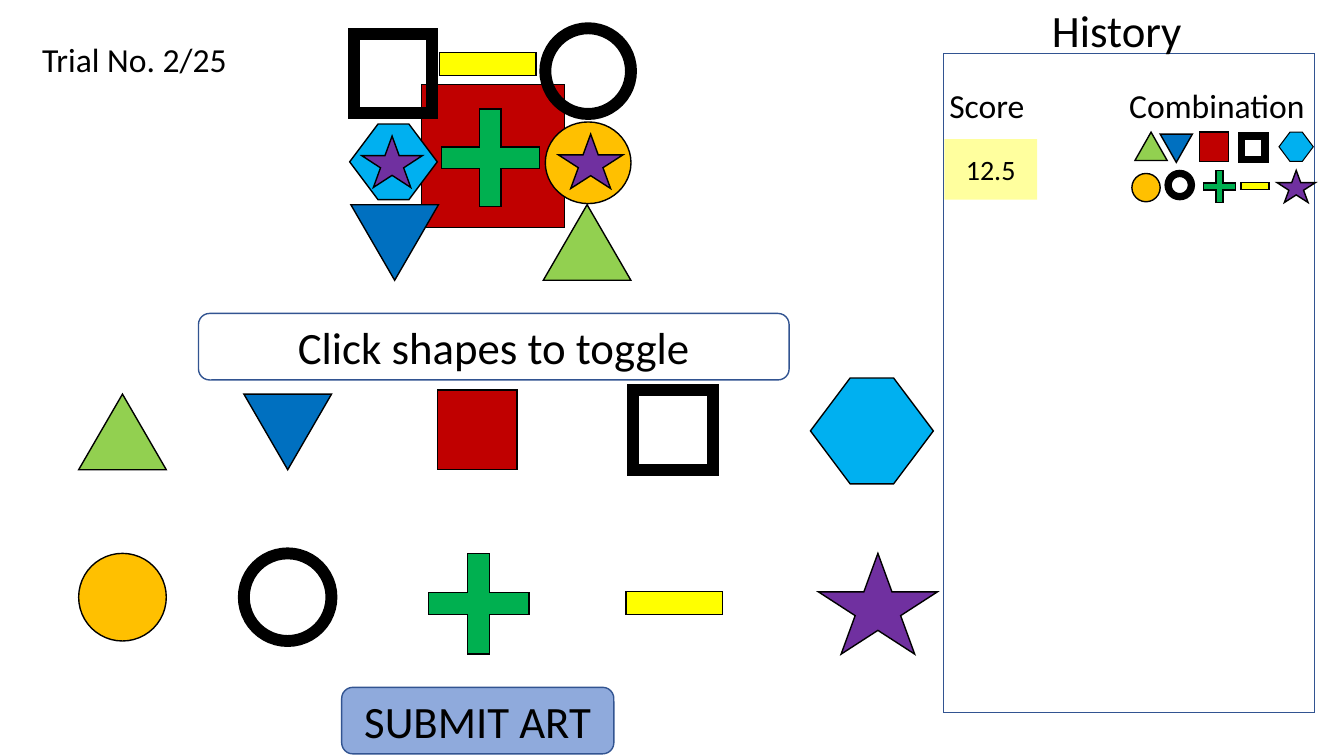
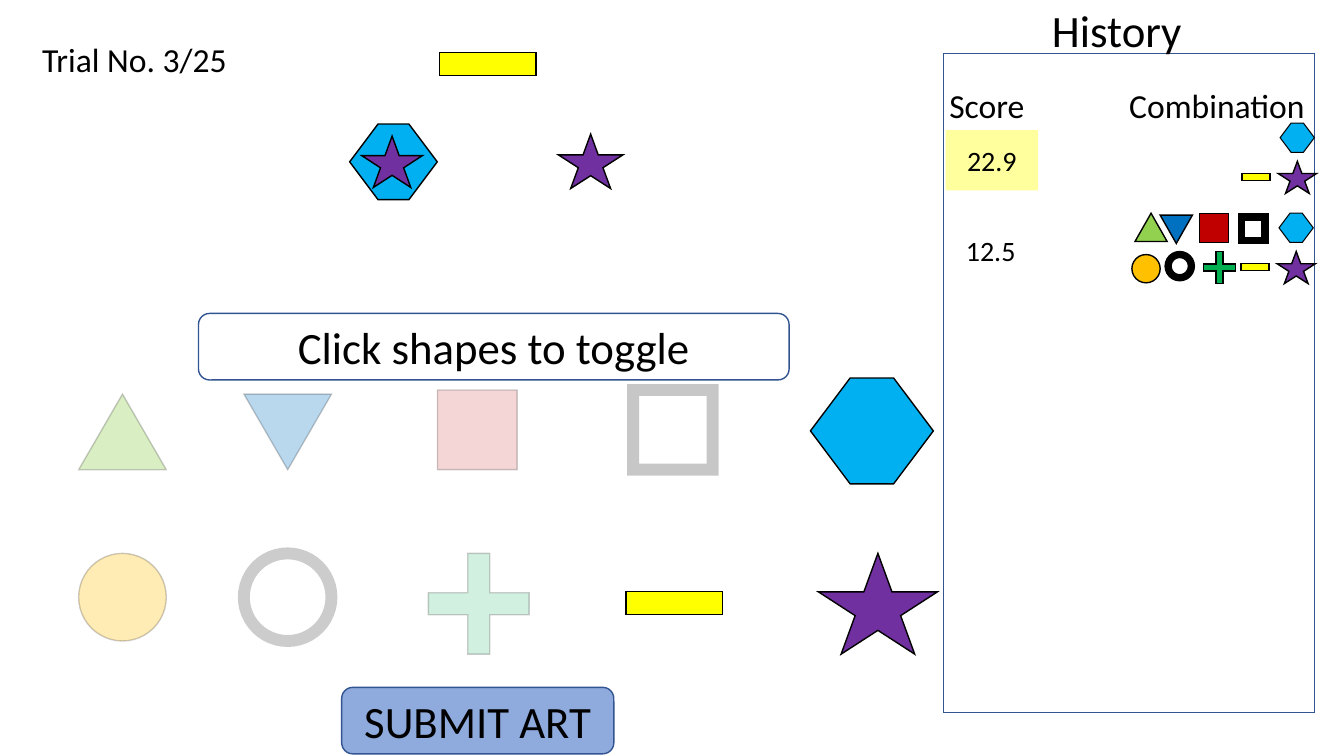
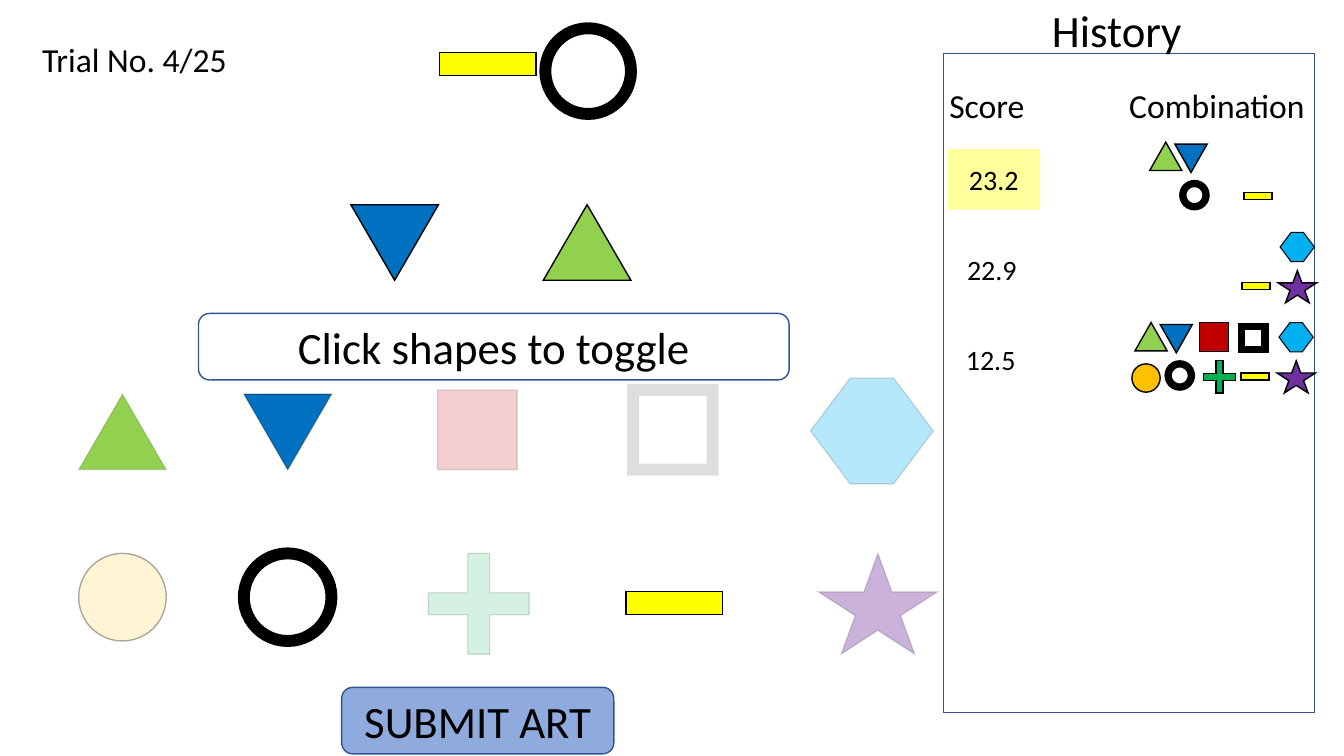
"""Build three trial screens of a shape-toggling task with a score history."""
from lxml import etree
from pptx import Presentation
from pptx.dml.color import RGBColor
from pptx.enum.shapes import MSO_SHAPE
from pptx.enum.text import MSO_ANCHOR, MSO_AUTO_SIZE, PP_ALIGN
from pptx.oxml.ns import qn
from pptx.util import Pt

RECT, ROUNDED, OVAL = MSO_SHAPE.RECTANGLE, MSO_SHAPE.ROUNDED_RECTANGLE, MSO_SHAPE.OVAL
TRIANGLE, CROSS = MSO_SHAPE.ISOSCELES_TRIANGLE, MSO_SHAPE.CROSS
HEXAGON, STAR = MSO_SHAPE.HEXAGON, MSO_SHAPE.STAR_5_POINT
LEFT, CENTER, RIGHT = PP_ALIGN.LEFT, PP_ALIGN.CENTER, PP_ALIGN.RIGHT
TOP, MIDDLE = MSO_ANCHOR.TOP, MSO_ANCHOR.MIDDLE
FIT = MSO_AUTO_SIZE.SHAPE_TO_FIT_TEXT

FONT = "Calibri"
BLACK, NAVY, WHITE, BLUE, YELLOW = "000000", "325491", "FFFFFF", "8FAADC", "FFFF00"
THIN, PALETTE_THICK, HISTORY_THICK = 1, 8.5, 5.25

PIECES = {
    "square": (RECT, "C00000", 0, ()),
    "up": (TRIANGLE, "92D050", 0, ()),
    "down": (TRIANGLE, "0070C0", 180, ()),
    "frame": (RECT, None, 0, ()),
    "hexagon": (HEXAGON, "00B0F0", 0, (0.375, 1.155)),
    "disc": (OVAL, "FFC000", 0, ()),
    "ring": (OVAL, None, 0, ()),
    "plus": (CROSS, "00B050", 0, (0.391,)),
    "bar": (RECT, YELLOW, 0, ()),
    "star": (STAR, "7030A0", 0, ()),
}
PALETTE = {
    "up": (56.2, 281.5, 62.6, 54), "down": (174.2, 281.5, 62.6, 54),
    "square": (312.5, 278.6, 56.9, 56.9), "frame": (452.2, 278.6, 56.9, 56.9),
    "hexagon": (578.9, 270, 87.8, 75.6), "disc": (56.2, 395.3, 62.6, 62.6),
    "ring": (174.2, 395.3, 62.6, 62.6), "plus": (306, 395.3, 72, 72),
    "bar": (447.1, 422.6, 69.1, 16.6), "star": (584.6, 395.3, 85, 72),
}
ARTWORK = [
    ("square", (301, 60.5, 102.2, 102.2)), ("up", (388.1, 146.2, 62.6, 54)),
    ("down", (250.6, 146.2, 62.6, 54)), ("frame", (252.7, 24.5, 56.2, 56.2)),
    ("hexagon", (249.8, 88.6, 62.6, 54)), ("disc", (389.5, 87.1, 61.2, 58.3)),
    ("ring", (389.5, 20.2, 61.2, 61.2)), ("plus", (315.4, 77.8, 69.8, 69.8)),
    ("bar", (313.9, 37.4, 69.1, 16.6)), ("star", (398.9, 95.8, 46.1, 38.9)),
    ("star", (258.5, 97.2, 43.2, 36.7)),
]
HISTORY_OFFSETS = {
    "up": (136.1, -5, 23, 20.2), "down": (154.1, -3.6, 23, 20.2),
    "square": (182.2, -5, 20.9, 20.9), "frame": (212.4, -2.2, 16.6, 16.6),
    "hexagon": (239, -5, 24.5, 20.9), "disc": (133.9, 24.5, 20.2, 20.2),
    "ring": (159.8, 24.5, 16.6, 16.6), "plus": (185, 22.3, 23, 23),
    "bar": (211.7, 31, 20.2, 5), "star": (237.6, 22.3, 27.4, 23),
}
HISTORY_STEP = 64.4
SCORE_SIZE = (66.2, 43.2)

ENTRIES = {
    "12.5": (674.6, dict.fromkeys(PIECES, 0)),
    "22.9": (675.4, {"hexagon": 0, "bar": 0, "star": 0}),
    "23.2": (676.8, {"up": 8.3, "down": 8.3, "ring": 8.3, "bar": 0}),
}
TRIALS = [
    ("Trial No. 2/25", 99.4, ["12.5"], {}),
    ("Trial No. 3/25", 92.9, ["22.9", "12.5"], {
        "up": (34, 20), "down": (27, 20), "square": (16, 20), "frame": (100, 22),
        "disc": (29, 20), "ring": (100, 20), "plus": (18, 20)}),
    ("Trial No. 4/25", 106.6, ["23.2", "22.9", "12.5"], {
        "up": (100, 11), "down": (100, 26), "square": (19, 13), "frame": (100, 13),
        "disc": (17, 32), "plus": (17, 13), "star": (37, 13), "hexagon": (29, 13)}),
]
LABELS = [
    ("History", (699.1, -1.4, 197.3, 46), 32, CENTER),
    ("Score", (671, 56.9, 82.8, 36), 24, LEFT),
    ("Combination", (797.8, 56.9, 141.1, 36), 24, RIGHT),
]
TRIAL_BOX = (23, 24.5, 187.9, 36)
PANEL_BOX = (673.9, 38.2, 265, 470.9)
BUTTONS = [
    ("SUBMIT ART", (244.1, 491, 194.4, 47.5), BLUE),
    ("Click shapes to toggle", (141.8, 223.9, 421.9, 47.5), WHITE),
]


def rgb(color):
    return RGBColor.from_string(color)


def set_alpha(parent, percent):
    if percent < 100:
        color = parent.find(qn("a:solidFill"))[0]
        etree.SubElement(color, qn("a:alpha"), val=str(percent * 1000))


def add_shape(s, preset, box, fill=None, line=None, width=THIN, alphas=(100, 100)):
    sp = s.shapes.add_shape(preset, *map(Pt, box))
    sp.shadow.inherit = False
    if fill:
        sp.fill.solid()
        sp.fill.fore_color.rgb = rgb(fill)
        set_alpha(sp.element.spPr, alphas[0])
    else:
        sp.fill.background()
    if line:
        sp.line.color.rgb = rgb(line)
        sp.line.width = Pt(width)
        ln = sp.element.spPr.find(qn("a:ln"))
        set_alpha(ln, alphas[1])
        etree.SubElement(ln, qn("a:miter"), lim="800000")
    else:
        sp.line.fill.background()
    return sp


def add_piece(s, name, box, thick, alphas=(100, 100), thin=THIN):
    preset, fill, rotation, adjustments = PIECES[name]
    sp = add_shape(s, preset, box, fill, BLACK, thin if fill else thick, alphas)
    sp.rotation = rotation
    for i, value in enumerate(adjustments):
        sp.adjustments[i] = value


def write(sp, text, size, align=CENTER, anchor=MIDDLE):
    tf = sp.text_frame
    tf.word_wrap = True
    tf.vertical_anchor = anchor
    tf.text = text
    p = tf.paragraphs[0]
    p.alignment = align
    font = p.runs[0].font
    font.name, font.size, font.color.rgb = FONT, Pt(size), rgb(BLACK)


def add_label(s, text, box, size, align):
    sp = s.shapes.add_textbox(*map(Pt, box))
    write(sp, text, size, align, TOP)
    sp.text_frame.auto_size = FIT


def add_entry(s, score, top, newest):
    left, shifts = ENTRIES[score]
    sp = add_shape(s, RECT, (left, top, *SCORE_SIZE), YELLOW if newest else None, alphas=(38, 100))
    write(sp, score, 20)
    for name, shift in shifts.items():
        dx, dy, w, h = HISTORY_OFFSETS[name]
        thin = 0 if name == "hexagon" else THIN
        add_piece(s, name, (left + dx + shift, top + dy, w, h), HISTORY_THICK, thin=thin)


def add_trial(prs, title, first_top, scores, faded):
    s = prs.slides.add_slide(prs.slide_layouts[6])
    add_shape(s, RECT, PANEL_BOX, line=NAVY)
    for name, box in PALETTE.items():
        add_piece(s, name, box, PALETTE_THICK, faded.get(name, (100, 100)))
    chosen = ENTRIES[scores[0]][1]
    for name, box in ARTWORK:
        if name in chosen:
            add_piece(s, name, box, PALETTE_THICK)
    for text, box, fill in BUTTONS:
        write(add_shape(s, ROUNDED, box, fill, NAVY), text, 32)
    for label in LABELS + [(title, TRIAL_BOX, 24, LEFT)]:
        add_label(s, *label)
    for i, score in enumerate(scores):
        add_entry(s, score, first_top + i * HISTORY_STEP, i == 0)


prs = Presentation()
prs.slide_width, prs.slide_height = Pt(960), Pt(540)
for trial in TRIALS:
    add_trial(prs, *trial)
prs.save("out.pptx")
